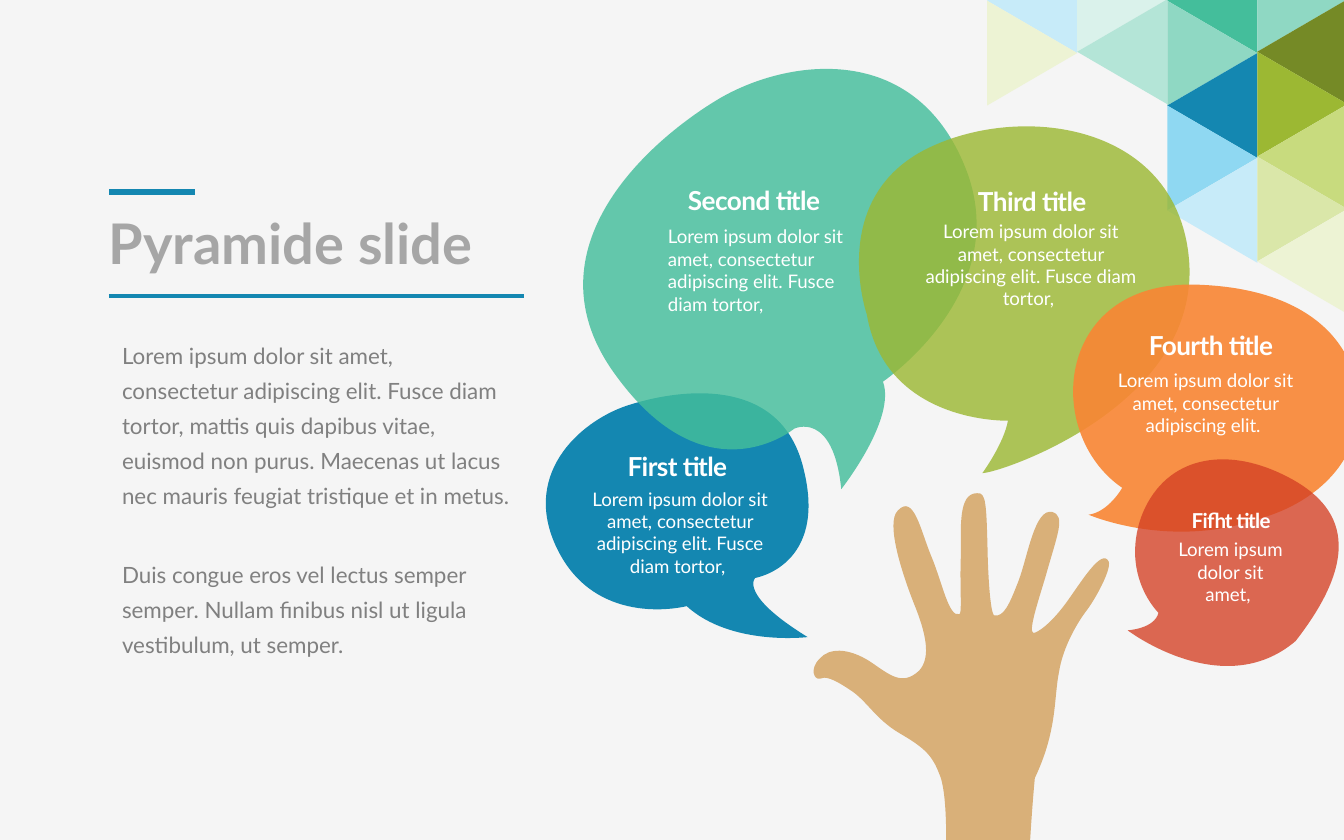
"""Build a slide of five speech bubbles rising above a raised hand."""
from dataclasses import dataclass

import pptx
import pptx.dml.color
import pptx.enum.shapes
import pptx.enum.text
import pptx.oxml.ns
import pptx.util
from lxml import etree
from pptx.util import Inches


@dataclass(frozen=True)
class Theme:
    font: str = "Lato"
    background: str = "F5F5F5"
    rule: str = "1487B1"
    heading: str = "A6A6A6"
    body: str = "808080"
    on_bubble: str = "FFFFFF"
    skin: str = "D9B079"
    heading_size: float = 30
    body_size: float = 12
    bubble_title_size: float = 14
    small_title_size: float = 11
    bubble_text_size: float = 10


THEME = Theme()
CENTER = pptx.enum.text.PP_ALIGN.CENTER
LEFT = pptx.enum.text.PP_ALIGN.LEFT
MIDDLE = pptx.enum.text.MSO_ANCHOR.MIDDLE
TOP = pptx.enum.text.MSO_ANCHOR.TOP

MOSAIC_COLUMNS = [
    (270, -0.33, ["C7EBF9", "EDF3D4"]),
    (90, -0.34, ["DAF2EB", "B4E5D7"]),
    (270, -0.33, ["44BE9B", "8FD8C3", "1487B1", "8FD8F2", "C7EBF9"]),
    (90, -0.34, ["8FD8C3", "758A26", "9CB833", "C8DB7E", "DAE7A9", "EDF3D4"]),
]

HAND_BOX = (6.05, 3.67, 2.2, 2.73)
HAND = [
    (7.27, 3.67), (7.34, 3.66, 7.34, 3.75, 7.35, 4.16), (7.36, 4.44, 7.38, 4.58, 7.4, 4.58),
    (7.47, 4.59, 7.51, 4.5, 7.58, 4.32), (7.65, 4.13, 7.7, 3.78, 7.83, 3.81),
    (7.93, 3.84, 7.87, 3.97, 7.78, 4.29), (7.72, 4.49, 7.65, 4.7, 7.69, 4.71),
    (7.72, 4.71, 7.82, 4.64, 7.93, 4.49), (8.04, 4.34, 8.2, 4.07, 8.25, 4.18),
    (8.27, 4.24, 8.15, 4.46, 8.08, 4.55), (8.02, 4.63, 7.91, 4.81, 7.88, 5),
    (7.84, 5.2, 7.87, 5.43, 7.7, 5.79), (7.7, 5.79, 7.68, 5.99, 7.66, 6.34),
    (7.66, 6.4), (7.04, 6.4), (7.04, 6.3),
    (7.04, 6.3, 7.05, 5.89, 6.99, 5.76), (6.94, 5.63, 6.89, 5.57, 6.7, 5.46),
    (6.51, 5.35, 6.45, 5.21, 6.32, 5.13), (6.2, 5.05, 6.14, 5.03, 6.1, 5.05),
    (6.06, 5.06, 6.02, 4.98, 6.1, 4.9), (6.17, 4.82, 6.31, 4.82, 6.47, 4.92),
    (6.62, 5.02, 6.71, 5.11, 6.84, 4.99), (6.93, 4.89, 6.89, 4.71, 6.8, 4.49),
    (6.71, 4.26, 6.59, 3.89, 6.68, 3.8), (6.8, 3.67, 6.85, 3.95, 6.93, 4.14),
    (7.01, 4.33, 7.06, 4.6, 7.14, 4.57), (7.16, 4.56, 7.14, 4.34, 7.15, 4.13),
    (7.15, 3.92, 7.13, 3.67, 7.27, 3.67),
]


@dataclass(frozen=True)
class Bubble:
    title: str
    text: str
    color: str
    opacity: int
    box: tuple
    outline: list
    title_box: tuple
    text_box: tuple
    title_size: float = THEME.bubble_title_size
    align: int = CENTER


SHORT_TEXT = "Lorem ipsum dolor sit amet, "
MEDIUM_TEXT = SHORT_TEXT + "consectetur adipiscing elit. "
LONG_TEXT = MEDIUM_TEXT + "Fusce diam tortor, "
BUBBLES = [
    Bubble("First title", LONG_TEXT, "1487B1", 100, (4.06, 2.92, 1.96, 1.82), [
        (5.62, 4.3), (5.62, 4.3, 5.49, 4.42, 6.01, 4.74), (6.01, 4.74, 5.44, 4.81, 5.11, 4.51),
        (5.11, 4.51, 4.46, 4.68, 4.16, 4.11), (3.86, 3.54, 4.31, 3.14, 4.66, 3.02),
        (5.02, 2.9, 5.81, 2.77, 5.98, 3.49), (6.16, 4.21, 5.62, 4.3, 5.62, 4.3),
    ], (4.25, 3.35, 1.58, 0.27), (4.27, 3.6, 1.58, 0.72)),
    Bubble("Second title", LONG_TEXT.rstrip(), "44BE9B", 82, (4.34, 0.51, 2.93, 3.13), [
        (5.91, 3.19), (5.91, 3.19, 6.2, 3.05, 6.26, 3.64), (6.26, 3.64, 6.67, 3.12, 6.57, 2.84),
        (6.57, 2.84, 7.56, 2.17, 7.18, 1.24), (6.8, 0.3, 5.86, 0.44, 5.36, 0.73),
        (4.85, 1.03, 3.89, 1.85, 4.58, 2.79), (5.26, 3.73, 5.91, 3.19, 5.91, 3.19),
    ], (4.82, 1.37, 1.58, 0.31), (4.95, 1.65, 1.56, 0.72), align=LEFT),
    Bubble("Third title", LONG_TEXT, "9CB833", 81, (6.39, 0.94, 2.46, 2.58), [
        (6.45, 2.34), (6.45, 2.34, 6.16, 1.5, 6.87, 1.12), (7.58, 0.75, 8.79, 0.91, 8.85, 1.97),
        (8.9, 3.03, 7.44, 3.52, 7.31, 3.52), (7.31, 3.52, 7.47, 3.3, 7.5, 3.13),
        (7.51, 3.13, 6.59, 3.16, 6.45, 2.34),
    ], (6.89, 1.38, 1.58, 0.27), (6.83, 1.61, 1.68, 0.72)),
    Bubble("Fourth title", MEDIUM_TEXT, "F98634", 90, (7.99, 2.11, 2.13, 1.84), [
        (9.4, 3.85), (9.4, 3.85, 9.89, 3.73, 10.06, 3.3), (10.22, 2.87, 10.03, 2.17, 8.94, 2.12),
        (7.85, 2.06, 7.75, 3.22, 8.35, 3.63), (8.35, 3.63, 8.25, 3.81, 8.1, 3.83),
        (8.1, 3.83, 8.72, 4.1, 9.4, 3.85),
    ], (8.22, 2.45, 1.58, 0.57), (8.18, 2.72, 1.58, 0.55)),
    Bubble("Fifht title", SHORT_TEXT, "D44024", 78, (8.39, 3.42, 1.57, 1.54), [
        (8.62, 4.56), (8.62, 4.56, 8.34, 4.29, 8.49, 3.85), (8.65, 3.42, 9.07, 3.32, 9.5, 3.51),
        (9.93, 3.7, 10.21, 4.04, 9.64, 4.77), (9.1, 5.23, 8.39, 4.69, 8.39, 4.69),
        (8.39, 4.69, 8.59, 4.68, 8.62, 4.56),
    ], (8.37, 3.78, 1.58, 0.27), (8.71, 3.98, 0.89, 0.55), THEME.small_title_size),
]


def rgb(color):
    return pptx.dml.color.RGBColor.from_string(color)


def paint(shape, color, opacity=100):
    shape.shadow.inherit = False
    shape.line.fill.background()
    shape.fill.solid()
    shape.fill.fore_color.rgb = rgb(color)
    if opacity < 100:
        tint = shape._element.spPr.find(".//" + pptx.oxml.ns.qn("a:srgbClr"))
        etree.SubElement(tint, pptx.oxml.ns.qn("a:alpha"), val=str(opacity * 1000))


def add_rule(slide, start, end, y, weight):
    rule = slide.shapes.add_connector(
        pptx.enum.shapes.MSO_CONNECTOR.STRAIGHT, Inches(start), Inches(y), Inches(end), Inches(y))
    rule.line.color.rgb = rgb(THEME.rule)
    rule.line.width = pptx.util.Pt(weight)
    etree.SubElement(rule._element.spPr, pptx.oxml.ns.qn("a:effectLst"))


def add_mosaic(slide):
    for column, (first_turn, top, colors) in enumerate(MOSAIC_COLUMNS):
        for row, color in enumerate(colors):
            tile = slide.shapes.add_shape(
                pptx.enum.shapes.MSO_SHAPE.ISOSCELES_TRIANGLE,
                Inches(7.29 + 0.67 * column), Inches(top + 0.39 * row), Inches(0.78), Inches(0.67))
            tile.rotation = (first_turn + 180 * row) % 360
            paint(tile, color)


def add_outline(slide, box, outline, color, opacity=100):
    qn = pptx.oxml.ns.qn
    left, top, width, height = map(Inches, box)
    builder = slide.shapes.build_freeform(left, top)
    builder.add_line_segments([(left + width, top + height)], close=False)
    silhouette = builder.convert_to_shape()
    contour = silhouette._element.spPr.find(".//" + qn("a:path"))
    for command in list(contour):
        contour.remove(command)
    for index, segment in enumerate(outline):
        kind = "a:cubicBezTo" if len(segment) == 6 else "a:lnTo" if index else "a:moveTo"
        command = etree.SubElement(contour, qn(kind))
        for x, y in zip(segment[::2], segment[1::2]):
            etree.SubElement(command, qn("a:pt"), x=str(Inches(x) - left), y=str(Inches(y) - top))
    etree.SubElement(contour, qn("a:close"))
    paint(silhouette, color, opacity)


def add_text(slide, box, lines, size, color, bold=False, align=LEFT, anchor=TOP,
             inset=(0, 0), line_spacing=None, gap=0, tracking=0):
    frame = slide.shapes.add_textbox(*map(Inches, box)).text_frame
    frame.word_wrap = True
    frame.vertical_anchor = anchor
    frame.margin_left = frame.margin_right = Inches(inset[0])
    frame.margin_top = frame.margin_bottom = Inches(inset[1])
    for index, line in enumerate(lines):
        paragraph = frame.add_paragraph() if index else frame.paragraphs[0]
        paragraph.alignment = align
        if line_spacing:
            paragraph.line_spacing = line_spacing
        if index:
            paragraph.space_before = pptx.util.Pt(gap)
        run = paragraph.add_run()
        run.text = line
        if tracking:
            run._r.get_or_add_rPr().set("spc", str(tracking))
        paragraph.font.name = THEME.font
        paragraph.font.size = pptx.util.Pt(size)
        paragraph.font.bold = bold
        paragraph.font.color.rgb = rgb(color)


def add_bubble(slide, bubble):
    add_outline(slide, bubble.box, bubble.outline, bubble.color, bubble.opacity)
    add_text(slide, bubble.title_box, [bubble.title], bubble.title_size, THEME.on_bubble,
             bold=True, align=CENTER, tracking=-30)
    add_text(slide, bubble.text_box, [bubble.text], THEME.bubble_text_size, THEME.on_bubble,
             align=bubble.align, anchor=MIDDLE, inset=(0.02, 0.02))


def main():
    deck = pptx.Presentation()
    deck.slide_width, deck.slide_height = Inches(10), Inches(6.25)
    slide = deck.slides.add_slide(deck.slide_layouts[6])
    slide.background.fill.solid()
    slide.background.fill.fore_color.rgb = rgb(THEME.background)
    add_rule(slide, 0.81, 3.9, 2.2, 2)
    add_rule(slide, 1.45, 0.81, 1.43, 3)
    add_mosaic(slide)
    add_text(slide, (0.81, 1.61, 3.1, 0.39), ["Pyramide slide"], THEME.heading_size, THEME.heading,
             bold=True, anchor=MIDDLE, inset=(0, 0.04))
    add_text(slide, (0.81, 2.44, 3.1, 1.53), [
        "Lorem ipsum dolor sit amet, consectetur adipiscing elit. Fusce diam tortor, mattis quis dapibus "
        "vitae, euismod non purus. Maecenas ut lacus nec mauris feugiat tristique et in metus.",
        "Duis congue eros vel lectus semper semper. Nullam finibus nisl ut ligula vestibulum, ut semper.",
    ], THEME.body_size, THEME.body, inset=(0.1, 0.05), line_spacing=1.3, gap=23.5)
    add_outline(slide, HAND_BOX, HAND, THEME.skin)
    for bubble in BUBBLES:
        add_bubble(slide, bubble)
    deck.save("out.pptx")


if __name__ == "__main__":
    main()
